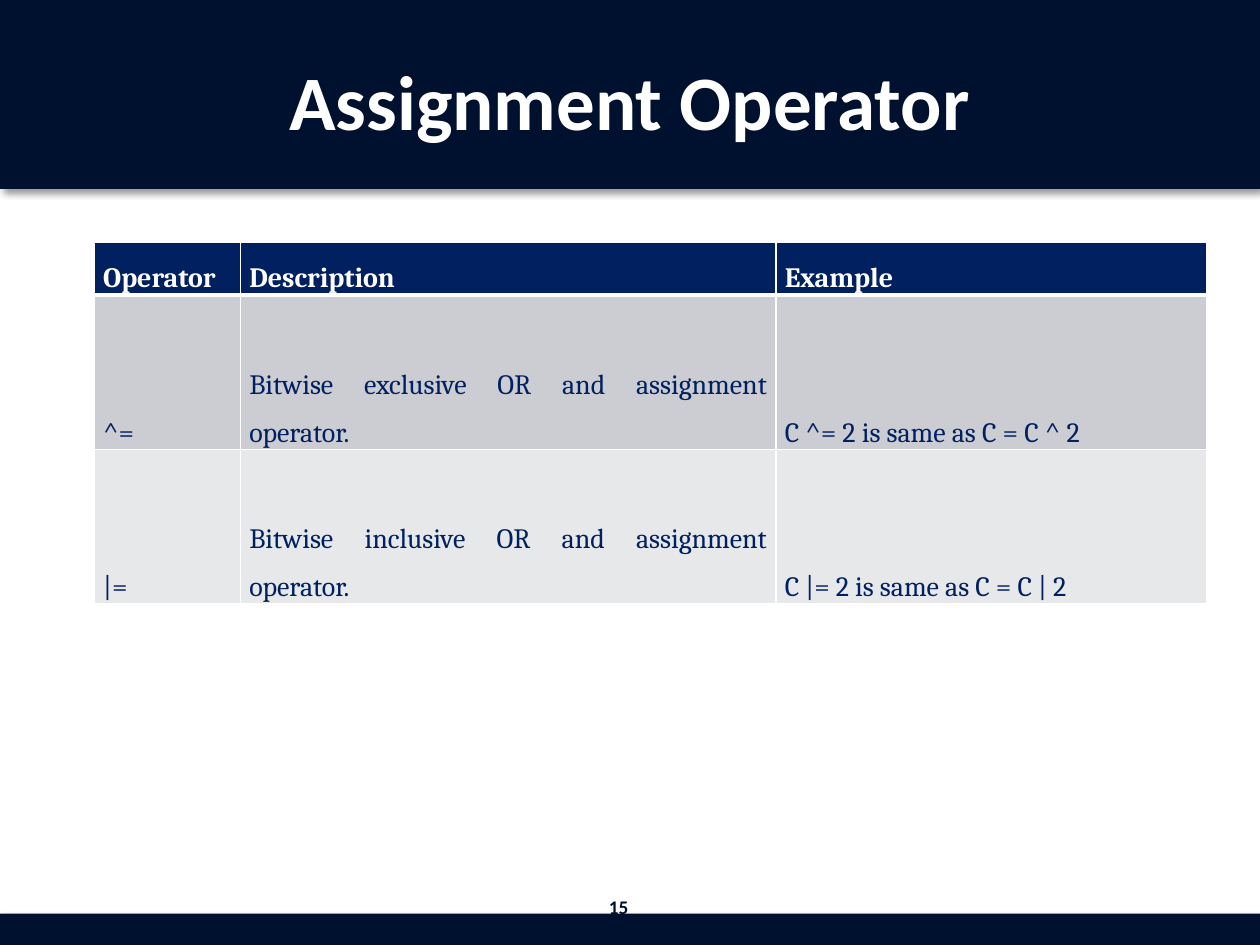
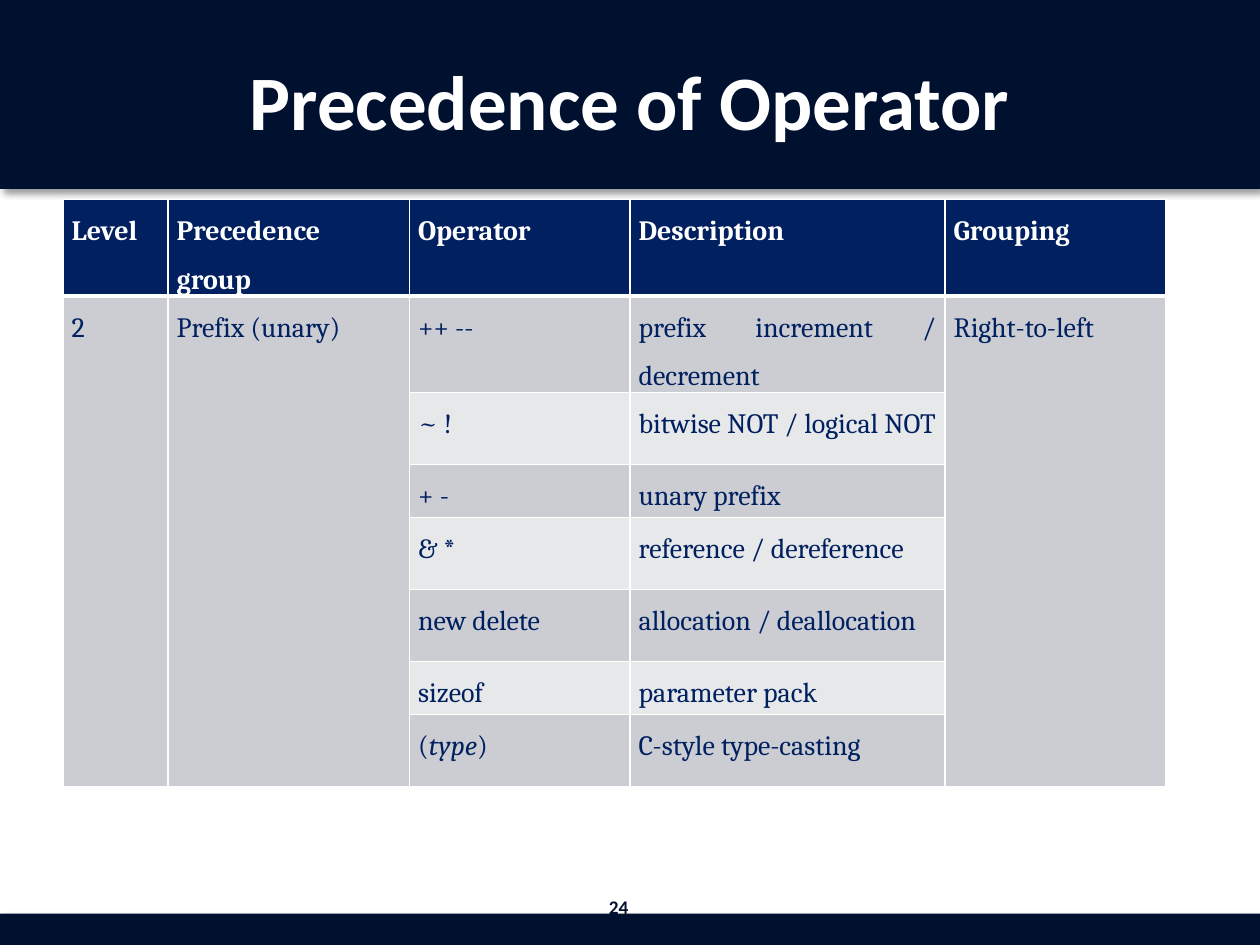
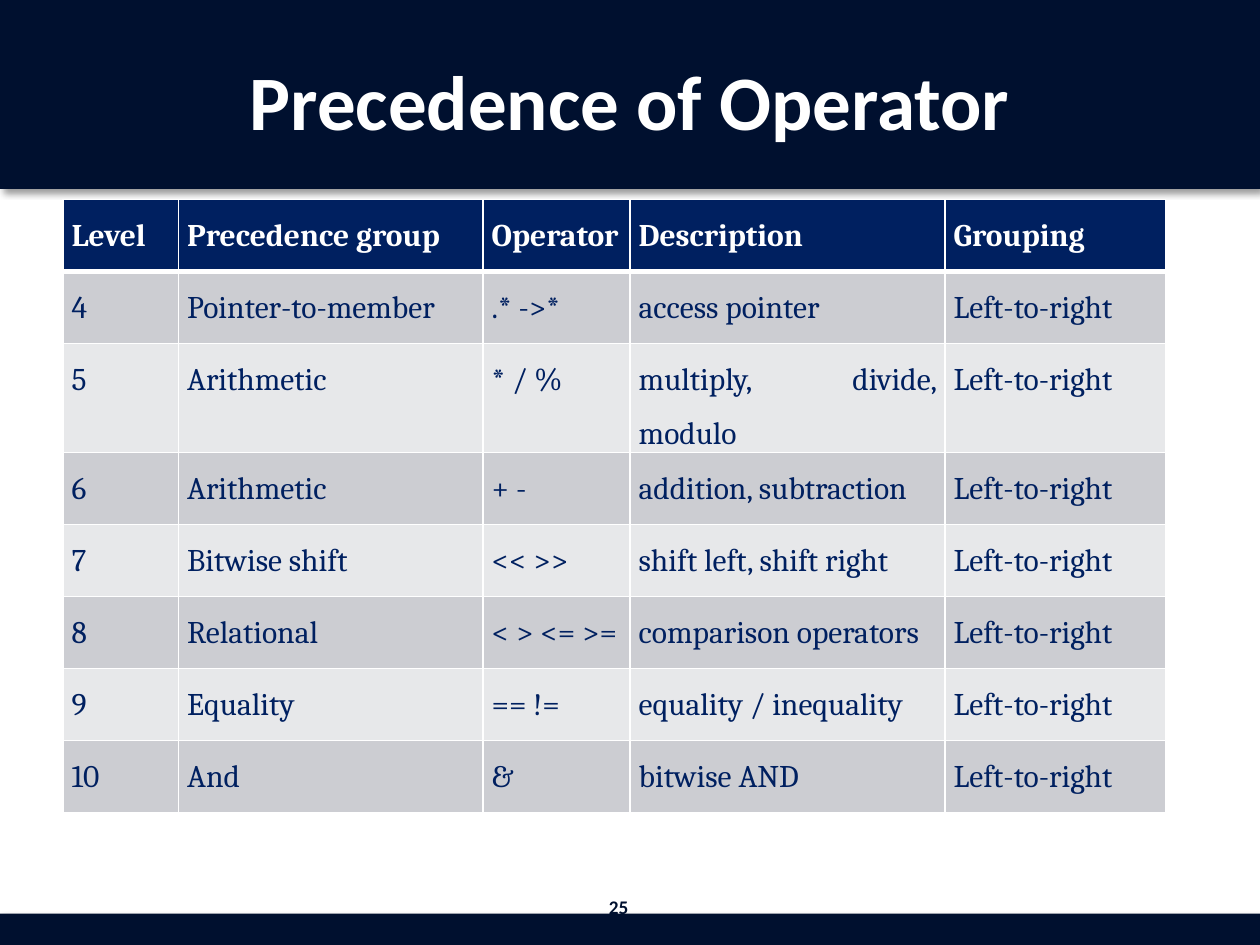
from dataclasses import dataclass

from lxml import etree
from pptx import Presentation
from pptx.dml.color import RGBColor
from pptx.enum import shapes, text
from pptx.oxml import ns
from pptx.util import Pt


@dataclass(frozen=True)
class Theme:
    band: str = "00102F"
    header: str = "002060"
    body_text: str = "002060"
    stripes: tuple = ("CCCDD2", "E7E8EA")
    white: str = "FFFFFF"
    shadow: str = "000000"
    heading_font: str = "Calibri"
    table_font: str = "Cambria"
    title_size: float = 44
    number_size: float = 11
    grid_line: float = 1
    header_line: float = 3


THEME = Theme()

# Content: in a cell given as a tuple, every second part is italic
LESSONS = [
    {
        "title": "Assignment Operator",
        "number": "15",
        "origin": (54, 138.25),
        "columns": [83.5, 306, 246.25],
        "heights": [30.25, 88.3, 88.3],
        "size": 16,
        "anchor": text.MSO_ANCHOR.BOTTOM,
        "merged": [],
        "rows": [
            ["Operator", "Description", "Example"],
            ["^=", "Bitwise exclusive OR and assignment operator.",
             "C ^= 2 is same as C = C ^ 2"],
            ["|=", "Bitwise inclusive OR and assignment operator.",
             "C |= 2 is same as C = C | 2"],
        ],
    },
    {
        "title": "Precedence of Operator",
        "number": "24",
        "origin": (36, 114),
        "columns": [60, 138, 126, 180, 126],
        "heights": [41.15, 41.15, 41.15, 30.25, 41.15, 41.15, 30.25, 41.15],
        "size": 16,
        "anchor": text.MSO_ANCHOR.TOP,
        "merged": [0, 1, 4],
        "rows": [
            ["Level", "Precedence group", "Operator", "Description", "Grouping"],
            ["2", "Prefix (unary)", "++ --", "prefix increment / decrement",
             "Right-to-left"],
            ["", "", "~ !", "bitwise NOT / logical NOT", ""],
            ["", "", "+ -", "unary prefix", ""],
            ["", "", "& *", "reference / dereference", ""],
            ["", "", "new delete", "allocation / deallocation", ""],
            ["", "", "sizeof", "parameter pack", ""],
            ["", "", ("(", "type", ")"), "C-style type-casting", ""],
        ],
    },
    {
        "title": "Precedence of Operator",
        "number": "25",
        "origin": (36, 114),
        "columns": [66, 174, 84, 180, 126],
        "heights": [41.15] * 8,
        "size": 18,
        "anchor": text.MSO_ANCHOR.TOP,
        "merged": [],
        "rows": [
            ["Level", "Precedence group", "Operator", "Description", "Grouping"],
            ["4", "Pointer-to-member", ".* ->*", "access pointer", "Left-to-right"],
            ["5", "Arithmetic", "* / %", "multiply, divide, modulo", "Left-to-right"],
            ["6", "Arithmetic", "+ -", "addition, subtraction", "Left-to-right"],
            ["7", "Bitwise shift", "<< >>", "shift left, shift right", "Left-to-right"],
            ["8", "Relational", "< > <= >=", "comparison operators", "Left-to-right"],
            ["9", "Equality", "== !=", "equality / inequality", "Left-to-right"],
            ["10", "And", "&", "bitwise AND", "Left-to-right"],
        ],
    },
]

# Shared frame: left, top, width, height
BANDS = [(0, 522, 720, 18), (0, 0, 720, 108)]
TITLE_BOX = (36, 12.25, 648, 90)
NUMBER_BOX = (338.4, 504, 30.25, 28.8)


def points(values):
    return [Pt(value) for value in values]


def add_child(parent, tag, **attributes):
    child = etree.SubElement(parent, ns.qn(tag))
    for name, value in attributes.items():
        child.set(name, str(value))
    return child


def style_font(font, name, size, color, bold):
    font.name = name
    font.size = Pt(size)
    font.bold = bold
    font.color.rgb = RGBColor.from_string(color)


def move_bands_to_layout(slide):
    """Draw the two bands once and let the layout show them on every slide."""
    for box in BANDS:
        band = slide.shapes.add_shape(shapes.MSO_SHAPE.RECTANGLE, *points(box))
        band.fill.solid()
        band.fill.fore_color.rgb = RGBColor.from_string(THEME.band)
        band.line.fill.background()
        band.shadow.inherit = False
        effects = band.element.spPr.find(ns.qn("a:effectLst"))
        shadow = add_child(effects, "a:outerShdw", blurRad=Pt(4), dist=Pt(3),
                           dir=45 * 60000, algn="tl", rotWithShape=0)
        color = add_child(shadow, "a:srgbClr", val=THEME.shadow)
        add_child(color, "a:alpha", val=40000)
        slide.slide_layout.shapes.element.append(band.element)


def write_line(shape, box, words, size, color):
    """Place a shape that holds one centred bold line."""
    shape.left, shape.top, shape.width, shape.height = points(box)
    frame = shape.text_frame
    frame.text = words
    frame.word_wrap = True
    frame.auto_size = text.MSO_AUTO_SIZE.NONE
    frame.vertical_anchor = text.MSO_ANCHOR.MIDDLE
    line = frame.paragraphs[0]
    line.alignment = text.PP_ALIGN.CENTER
    style_font(line.runs[0].font, THEME.heading_font, size, color, True)


def draw_borders(cell, row):
    top = THEME.header_line if row == 1 else THEME.grid_line
    bottom = THEME.header_line if row == 0 else THEME.grid_line
    properties = cell._tc.get_or_add_tcPr()
    for side, width in (("L", THEME.grid_line), ("R", THEME.grid_line),
                        ("T", top), ("B", bottom)):
        border = add_child(properties, "a:ln" + side, w=Pt(width))
        fill = add_child(border, "a:solidFill")
        add_child(fill, "a:srgbClr", val=THEME.white)


def fill_cell(cell, content, row, lesson):
    is_header = row == 0
    cell.margin_left = cell.margin_right = Pt(5)
    cell.margin_top = cell.margin_bottom = 0
    cell.vertical_anchor = lesson["anchor"]
    draw_borders(cell, row)
    cell.fill.solid()
    cell.fill.fore_color.rgb = RGBColor.from_string(
        THEME.header if is_header else THEME.stripes[(row - 1) % 2])

    line = cell.text_frame.paragraphs[0]
    line.alignment = text.PP_ALIGN.JUSTIFY
    line.line_spacing = 1.5
    parts = content if isinstance(content, tuple) else (content,)
    for index, part in enumerate(parts):
        if part:
            run = line.add_run()
            run.text = part
            style_font(run.font, THEME.table_font, lesson["size"],
                       THEME.white if is_header else THEME.body_text, is_header)
            run.font.italic = index % 2 == 1


def add_operator_table(slide, lesson):
    rows, columns, heights = lesson["rows"], lesson["columns"], lesson["heights"]
    box = (*lesson["origin"], sum(columns), sum(heights))
    operators = slide.shapes.add_table(len(rows), len(columns), *points(box)).table
    for column, width in zip(operators.columns, columns):
        column.width = Pt(width)
    for row, height in zip(operators.rows, heights):
        row.height = Pt(height)
    for r, row in enumerate(rows):
        for c, content in enumerate(row):
            fill_cell(operators.cell(r, c), content, r, lesson)
    for c in lesson["merged"]:
        operators.cell(1, c).merge(operators.cell(len(rows) - 1, c))


def main():
    deck = Presentation()
    deck.slide_width, deck.slide_height = Pt(720), Pt(540)
    title_only = deck.slide_layouts[5]
    for index, lesson in enumerate(LESSONS):
        slide = deck.slides.add_slide(title_only)
        if index == 0:
            move_bands_to_layout(slide)
        write_line(slide.shapes.title, TITLE_BOX, lesson["title"],
                   THEME.title_size, THEME.white)
        number = slide.shapes.add_textbox(*points(NUMBER_BOX))
        write_line(number, NUMBER_BOX, lesson["number"],
                   THEME.number_size, THEME.band)
        add_operator_table(slide, lesson)
    deck.save("out.pptx")


if __name__ == "__main__":
    main()
